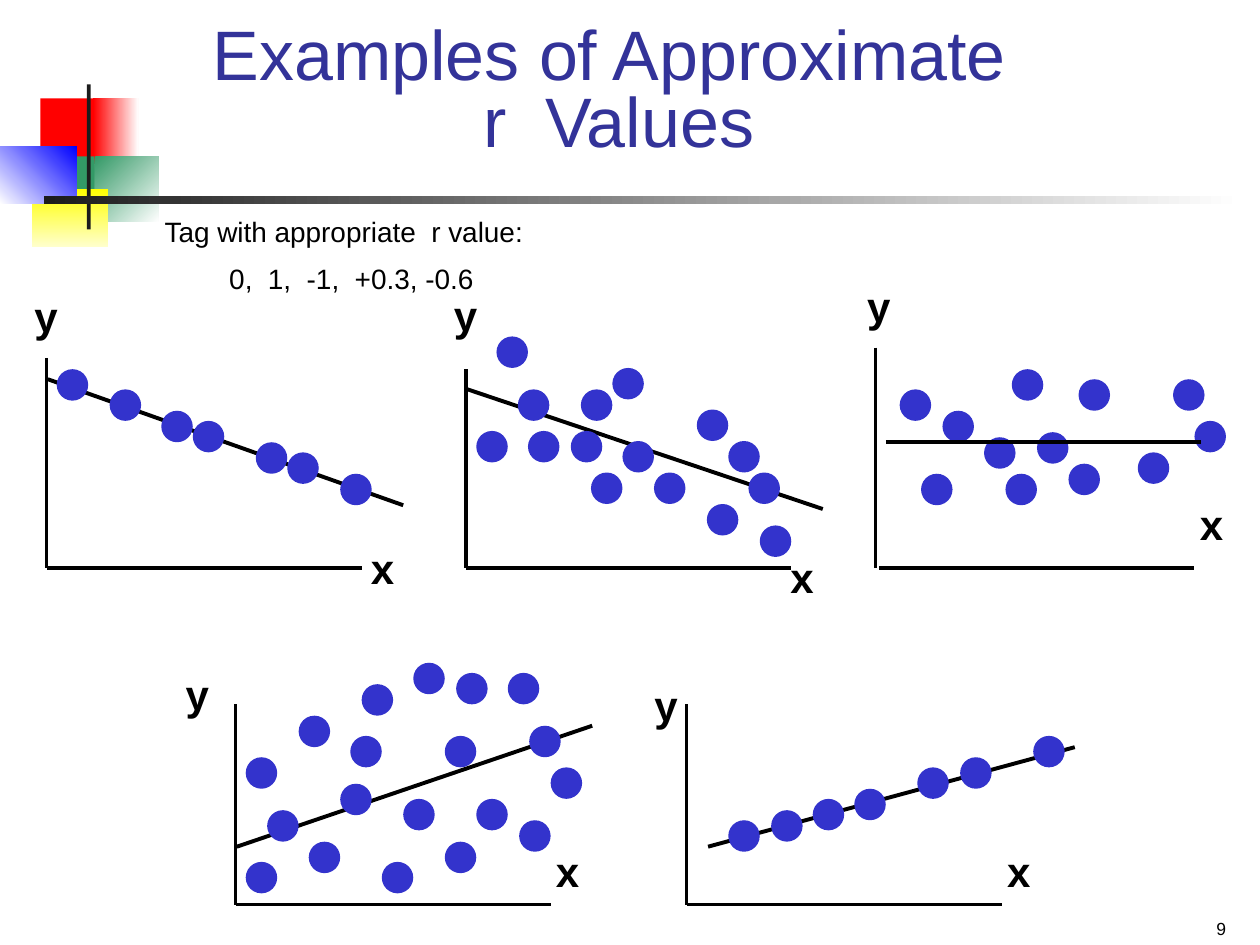
from dataclasses import dataclass

import pptx
import pptx.dml.color
import pptx.enum.shapes
import pptx.enum.text
import pptx.oxml
import pptx.oxml.ns
import pptx.util
from pptx.util import Inches

FONT = "Arial"
BLACK, CHARCOAL, WHITE = "000000", "1C1C1C", "FFFFFF"
TITLE_BLUE, DOT_BLUE = "333399", "3333CC"
DOT_SIZE = 0.25
LABEL_SIZE = (0.39, 0.5)
ALIGN = pptx.enum.text.PP_ALIGN
ANCHOR = pptx.enum.text.MSO_ANCHOR
SHAPE = pptx.enum.shapes.MSO_SHAPE

# left, top, width, height, colours (two make a gradient), clockwise angle
DECORATION = [
    (0.32, 0.78, 0.48, 0.52, ["FF0000"], 0),
    (0.74, 0.78, 0.36, 0.52, ["FF0000", WHITE], 0),
    (0.75, 1.24, 0.51, 0.52, ["339966", WHITE], 45),
    (0.43, 1.24, 0.32, 0.52, ["339966"], 0),
    (0.25, 1.5, 0.61, 0.46, ["FFFF00", "FFFFCC"], 90),
    (0, 1.16, 0.61, 0.46, [WHITE, "0000FF"], 315),
    (0.69, 0.67, 0.03, 1.15, [CHARCOAL], 0),
    (0.35, 1.56, 9.51, 0.06, [CHARCOAL, WHITE], 0),
]


@dataclass
class Plot:
    """A scatter sketch; dots and labels are given by their top left corners."""
    y_axis: tuple  # x, top
    x_axis: tuple  # left, right
    base: float
    trend: tuple  # x1, y1, x2, y2
    y_label: tuple
    x_label: tuple
    dots: list
    trend_width: float = 2.25
    trend_in_front: bool = False


PLOTS = [
    Plot((0.37, 2.84), (0.37, 2.87), 4.51, (0.38, 3.01, 3.2, 4.01),
         (0.17, 2.26), (2.84, 4.26),
         [(0.45, 2.93), (0.87, 3.09), (1.28, 3.26), (1.53, 3.34),
          (2.03, 3.51), (2.28, 3.59), (2.7, 3.76)]),
    Plot((3.7, 2.93), (3.7, 6.28), 4.51, (3.71, 3.09, 6.53, 4.04),
         (3.5, 2.25), (6.17, 4.33),
         [(3.78, 3.42), (3.94, 2.67), (4.11, 3.09), (4.19, 3.42),
          (4.53, 3.42), (4.61, 3.09), (4.69, 3.75), (4.86, 2.92),
          (4.94, 3.5), (5.19, 3.75), (5.53, 3.25), (5.61, 4),
          (5.78, 3.5), (5.94, 3.75), (6.03, 4.17)]),
    Plot((6.95, 2.76), (6.98, 9.48), 4.51, (7.03, 3.51, 9.53, 3.51),
         (6.78, 2.18), (9.42, 3.91),
         [(7.14, 3.09), (7.31, 3.76), (7.48, 3.26), (7.81, 3.47),
          (7.98, 3.76), (8.03, 2.93), (8.23, 3.43), (8.48, 3.68),
          (8.56, 3.01), (9.03, 3.59), (9.31, 3.01), (9.48, 3.34)],
         trend_width=2, trend_in_front=True),
    Plot((1.87, 5.59), (1.87, 4.37), 7.18, (1.88, 6.72, 4.7, 5.76),
         (1.37, 5.26), (4.31, 6.66),
         [(1.95, 6.01), (1.95, 6.84), (2.12, 6.43), (2.37, 5.68),
          (2.45, 6.68), (2.7, 6.22), (2.78, 5.84), (2.87, 5.43),
          (3.03, 6.84), (3.2, 6.34), (3.28, 5.26), (3.53, 5.84),
          (3.53, 6.68), (3.62, 5.34), (3.78, 6.34), (4.03, 5.34),
          (4.12, 6.51), (4.2, 5.76), (4.37, 6.09)]),
    Plot((5.45, 5.59), (5.45, 7.95), 7.18, (5.62, 6.72, 8.53, 5.93),
         (5.09, 5.34), (7.89, 6.66),
         [(5.78, 6.51), (6.12, 6.43), (6.45, 6.34), (6.78, 6.26),
          (7.28, 6.09), (7.62, 6.01), (8.2, 5.84)]),
]


def rgb(color):
    return pptx.dml.color.RGBColor.from_string(color)


def add_filled(s, kind, left, top, width, height, colors, angle=0):
    sp = s.shapes.add_shape(kind, Inches(left), Inches(top), Inches(width), Inches(height))
    sp.shadow.inherit = False
    sp.line.fill.background()
    if len(colors) == 1:
        sp.fill.solid()
        sp.fill.fore_color.rgb = rgb(colors[0])
    else:
        sp.fill.gradient()
        sp.fill.gradient_angle = (360 - angle) % 360
        for stop, color in zip(sp.fill.gradient_stops, colors):
            stop.color.rgb = rgb(color)


def add_line(s, x1, y1, x2, y2, width=2):
    line = s.shapes.add_connector(pptx.enum.shapes.MSO_CONNECTOR.STRAIGHT,
                                  Inches(x1), Inches(y1), Inches(x2), Inches(y2))
    line.line.color.rgb = rgb(BLACK)
    line.line.width = pptx.util.Pt(width)
    effects = pptx.oxml.parse_xml(f"<a:effectLst {pptx.oxml.ns.nsdecls('a')}/>")
    line._element.spPr.append(effects)


def add_text(s, text, left, top, width, height, size, color=BLACK, bold=False,
             align=ALIGN.CENTER, anchor=ANCHOR.TOP, wrap=True):
    box = s.shapes.add_textbox(Inches(left), Inches(top), Inches(width), Inches(height))
    tf = box.text_frame
    tf.word_wrap = wrap
    tf.vertical_anchor = anchor
    tf.text = text
    for p in tf.paragraphs:
        p.alignment = align
        for r in p.runs:
            r.font.name = FONT
            r.font.size = pptx.util.Pt(size)
            r.font.bold = bold
            r.font.color.rgb = rgb(color)
    return tf


def add_plot(s, plot):
    def add_trend():
        add_line(s, *plot.trend, width=plot.trend_width)

    x, top = plot.y_axis
    left, right = plot.x_axis
    add_line(s, x, top, x, plot.base)
    add_line(s, left, plot.base, right, plot.base)
    if not plot.trend_in_front:
        add_trend()
    for dot in plot.dots:
        add_filled(s, SHAPE.OVAL, *dot, DOT_SIZE, DOT_SIZE, [DOT_BLUE])
    if plot.trend_in_front:
        add_trend()
    for text, place in (("y", plot.y_label), ("x", plot.x_label)):
        add_text(s, text, *place, *LABEL_SIZE, 24, bold=True, wrap=False)


def add_prompt(s):
    tf = add_text(s, "Tag with appropriate  r value:\n0,  1,  -1,  +0.3, -0.6",
                  -0.39, 1.65, 6.24, 0.77, 16)
    values = tf.paragraphs[1]
    values.space_before = pptx.util.Pt(8)
    values._p.get_or_add_pPr().set("marL", str(Inches(0.12)))


def main():
    prs = pptx.Presentation()
    prs.slide_width, prs.slide_height = Inches(10), Inches(7.5)
    s = prs.slides.add_slide(prs.slide_layouts[6])
    for left, top, width, height, colors, angle in DECORATION:
        add_filled(s, SHAPE.RECTANGLE, left, top, width, height, colors, angle)
    add_text(s, "9", 7.5, 7.15, 2.33, 0.35, 10, align=ALIGN.RIGHT, anchor=ANCHOR.BOTTOM)
    title = add_text(s, "Examples of Approximate \vr  Values", 0.65, 0.25, 8.52, 1.08,
                     40, TITLE_BLUE, anchor=ANCHOR.BOTTOM)
    title.paragraphs[0].line_spacing = 0.8
    for plot in PLOTS:
        add_plot(s, plot)
    add_prompt(s)
    prs.save("out.pptx")


if __name__ == "__main__":
    main()
